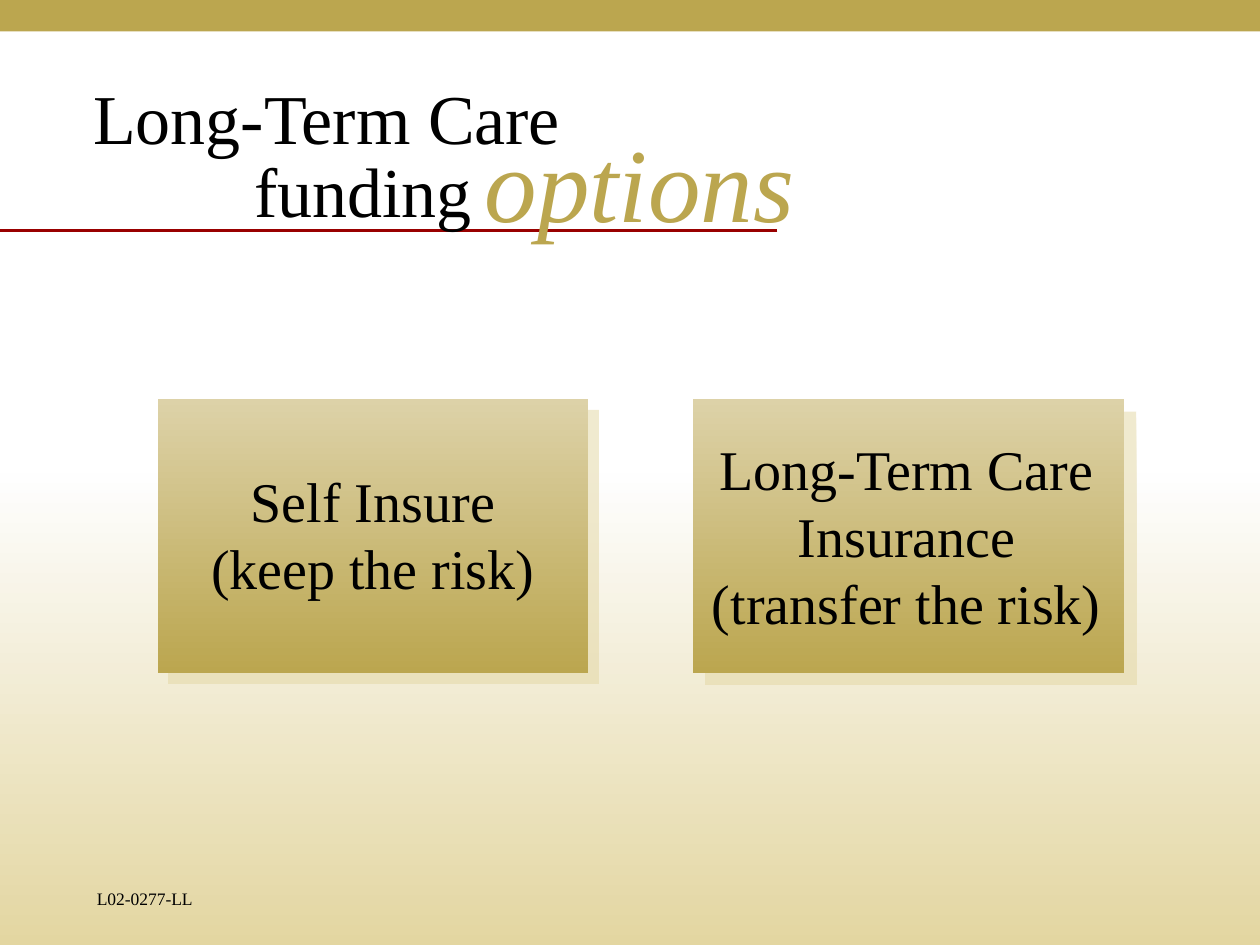
from lxml.etree import SubElement
from pptx import Presentation
from pptx.dml.color import RGBColor as Color
from pptx.enum.shapes import MSO_CONNECTOR as Connector, MSO_SHAPE as Shape
from pptx.enum.text import MSO_ANCHOR as Anchor, MSO_AUTO_SIZE as AutoSize, PP_ALIGN as Align
from pptx.oxml.ns import qn
from pptx.util import Inches, Pt

COLORS = {"black": "000000", "gold": "BBA64F", "sand": "DDD2A8",
          "pale": "E3D6A1", "white": "FEFEFE", "red": "990000"}
FONT = "Times New Roman"

deck = Presentation()
deck.slide_width, deck.slide_height = Inches(10), Inches(7.5)
WIDTH, HEIGHT = deck.slide_width, deck.slide_height
page = deck.slides.add_slide(deck.slide_layouts[5])


def add_panel(left, top, width, height, *names):
    panel = page.shapes.add_shape(Shape.RECTANGLE, int(left), int(top), int(width), int(height))
    panel.shadow.inherit = False
    panel.line.fill.background()
    if len(names) == 1:
        panel.fill.solid()
        panel.fill.fore_color.rgb = Color.from_string(COLORS[names[0]])
    else:
        panel.fill.gradient()
        panel.fill.gradient_angle = 270
        for stop, name in zip(panel.fill.gradient_stops, names):
            stop.color.rgb = Color.from_string(COLORS[name])
    return panel


def write(box, text, size, color="black", align=Align.LEFT, italic=False):
    frame = box.text_frame
    frame.text = text
    frame.word_wrap = True
    frame.auto_size = AutoSize.NONE
    frame.vertical_anchor = Anchor.TOP
    for para in frame.paragraphs:
        para.alignment = align
        para.line_spacing = Pt(size * 1.2)
        for span in para.runs:
            span.font.name = FONT
            span.font.size = Pt(size)
            span.font.italic = italic
            span.font.color.rgb = Color.from_string(COLORS[color])


add_panel(0, HEIGHT / 2, WIDTH, HEIGHT / 2, "white", "pale")
add_panel(0, 0, WIDTH, HEIGHT / 30, "gold")

rule = page.shapes.add_connector(Connector.STRAIGHT, Inches(6.17), Inches(1.83), 0, Inches(1.83))
rule.line.color.rgb = Color.from_string(COLORS["red"])
rule.line.width = Pt(1.5)
SubElement(rule._element.spPr, qn("a:effectLst"))

title = page.shapes.title
title.left, title.top, title.width, title.height = map(Inches, (0.64, 0.54, 4.22, 0.77))
write(title, "Long-Term Care", 40)

for left, distance in ((1.25, 8.5), (5.5, 9.9)):
    card = add_panel(Inches(left), Inches(3.17), Inches(3.42), Inches(2.17), "sand", "gold")
    effects = card._element.spPr.find(qn("a:effectLst"))
    shadow = SubElement(effects, qn("a:outerShdw"), dist=str(Pt(distance)),
                        dir="2700000", algn="ctr", rotWithShape="0")
    tint = SubElement(shadow, qn("a:srgbClr"), val=COLORS["pale"])
    SubElement(tint, qn("a:alpha"), val="50000")

labels = (
    (1.92, 1.12, 2.17, 0.77, "funding", 40, "black", Align.LEFT, False),
    (3.75, 0.88, 3.33, 1.1, "options", 60, "gold", Align.LEFT, True),
    (1.25, 3.65, 3.42, 1.17, "Self Insure\n(keep the risk)", 32, "black", Align.CENTER, False),
    (5.53, 3.4, 3.33, 1.7, "Long-Term Care Insurance (transfer the risk)", 32, "black", Align.CENTER, False),
    (0.67, 7, 1.5, 0.33, "L02-0277-LL", 10, "black", Align.LEFT, False),
)
for left, top, width, height, *content in labels:
    box = page.shapes.add_textbox(*map(Inches, (left, top, width, height)))
    write(box, *content)

deck.save("out.pptx")
